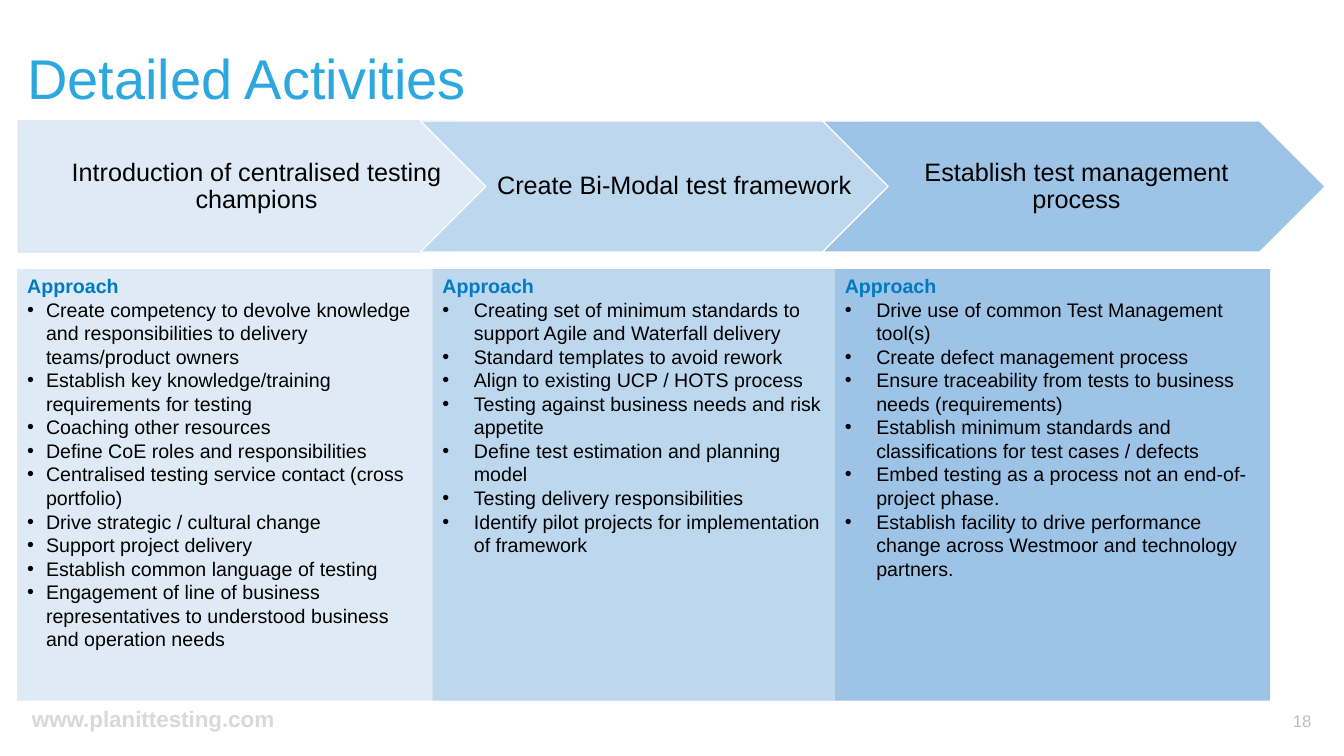
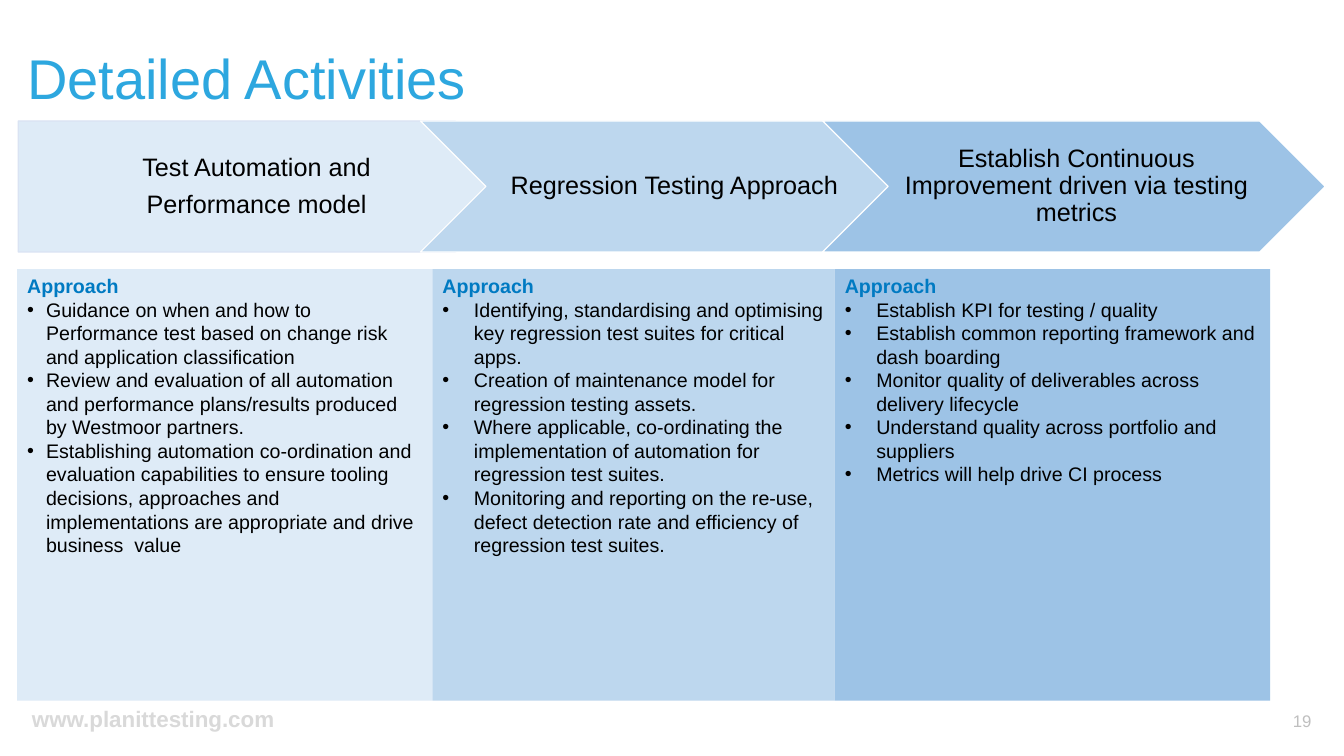
from dataclasses import dataclass

from lxml import etree
from pptx import Presentation
from pptx.dml.color import RGBColor
from pptx.enum.shapes import MSO_SHAPE
from pptx.enum.text import MSO_ANCHOR, MSO_AUTO_SIZE, PP_ALIGN
from pptx.oxml.ns import qn
from pptx.util import Pt

PENTAGON, CHEVRON = MSO_SHAPE.PENTAGON, MSO_SHAPE.CHEVRON
TOP, MIDDLE = MSO_ANCHOR.TOP, MSO_ANCHOR.MIDDLE
NO_FIT = MSO_AUTO_SIZE.NONE
LEFT, CENTER, RIGHT = PP_ALIGN.LEFT, PP_ALIGN.CENTER, PP_ALIGN.RIGHT


@dataclass(frozen=True)
class Theme:
    font: str = "Arial"
    title: tuple = (40, "2DA7DF", False)
    step: tuple = (18, "000000", False)
    heading: tuple = (14, "007AC2", True)
    body: tuple = (14, "000000", False)
    site: tuple = (16, "D9D9D9", True)
    number: tuple = (12, "BFBFBF", False)
    fills: tuple = ("DEEBF7", "BDD7EE", "9DC3E6")
    edges: tuple = ("DAE3F3", "FFFFFF", "FFFFFF")


COMPARISON = 4
BODY_IDS = (1, 2, 3)
SPARE_BODY_ID = 4
PANEL_LEFT, PANEL_TOP, PANEL_HEIGHT = 12.2, 192.2, 308.2
PANEL_WIDTHS = (296.6, 287.4, 311)
BULLET_INDENTS = (13.5, 22.5, 22.5)
STEP_LEFT, STEP_TOP, STEP_PITCH = 13, 86.4, 287.3
STEP_WIDTH, STEP_HEIGHT = 359, 93.6
FOOTER_TOP = 500.4


class Deck:
    def __init__(self, theme):
        self.theme = theme
        self.prs = Presentation()
        self.prs.slide_width, self.prs.slide_height = Pt(960), Pt(540)
        self.s = None

    def place(self, sp, left, top, width, height):
        box = dict(left=left, top=top, width=width, height=height)
        for name, value in box.items():
            setattr(sp, name, Pt(value))

    def frame(self, sp, anchor, **margins):
        tf = sp.text_frame
        values = dict(word_wrap=True, auto_size=NO_FIT, vertical_anchor=anchor)
        values.update({f"margin_{k}": Pt(v) for k, v in margins.items()})
        for name, value in values.items():
            setattr(tf, name, value)
        return tf

    def fill_text(self, p, text, style, **layout):
        values = dict(alignment=LEFT, line_spacing=1.0,
                      space_before=Pt(0), space_after=Pt(0))
        values.update(layout)
        for name, value in values.items():
            setattr(p, name, value)
        r = p.add_run()
        r.text = text
        size, color, bold = style
        font = dict(name=self.theme.font, size=Pt(size), bold=bold)
        for name, value in font.items():
            setattr(r.font, name, value)
        r.font.color.rgb = RGBColor.from_string(color)

    def bullet(self, p, indent):
        pPr = p._p.get_or_add_pPr()
        pPr.set("marL", str(Pt(indent)))
        pPr.set("indent", str(-Pt(indent)))
        if indent:
            etree.SubElement(pPr, qn("a:buFont")).set("typeface", self.theme.font)
            etree.SubElement(pPr, qn("a:buChar")).set("char", "•")
        else:
            etree.SubElement(pPr, qn("a:buNone"))

    def paragraphs(self, tf, count):
        return [tf.paragraphs[0]] + [tf.add_paragraph() for _ in range(count - 1)]

    def label(self, text, style, box, anchor, align):
        sp = self.s.shapes.add_textbox(*map(Pt, box))
        tf = self.frame(sp, anchor)
        self.fill_text(tf.paragraphs[0], text, style, alignment=align)

    def slide(self, title, number):
        self.s = self.prs.slides.add_slide(self.prs.slide_layouts[COMPARISON])
        spare = self.s.placeholders[SPARE_BODY_ID].element
        spare.getparent().remove(spare)
        sp = self.s.shapes.title
        self.place(sp, 12.2, 29.5, 828, 57)
        tf = self.frame(sp, MIDDLE)
        self.fill_text(tf.paragraphs[0], title, self.theme.title, line_spacing=0.9)
        self.label("www.planittesting.com", self.theme.site,
                   (15.8, FOOTER_TOP, 451.4, 26.6), TOP, LEFT)
        self.label(str(number), self.theme.number,
                   (907.2, FOOTER_TOP, 36.7, 28.8), MIDDLE, RIGHT)

    def step(self, i, lines):
        sp = self.s.shapes.add_shape(
            CHEVRON if i else PENTAGON, Pt(STEP_LEFT + i * STEP_PITCH),
            Pt(STEP_TOP), Pt(STEP_WIDTH), Pt(STEP_HEIGHT))
        sp.shadow.inherit = False
        sp.fill.solid()
        sp.fill.fore_color.rgb = RGBColor.from_string(self.theme.fills[i])
        sp.line.color.rgb = RGBColor.from_string(self.theme.edges[i])
        sp.line.width = Pt(0.85)
        tf = self.frame(sp, MIDDLE, left=5.8 if i else 7.2, right=2.2)
        for n, (p, text) in enumerate(zip(self.paragraphs(tf, len(lines)), lines)):
            self.fill_text(p, text, self.theme.step, alignment=CENTER,
                           line_spacing=0.9, space_before=Pt(7 if n else 0))

    def panel(self, i, items):
        sp = self.s.placeholders[BODY_IDS[i]]
        self.place(sp, PANEL_LEFT + sum(PANEL_WIDTHS[:i]), PANEL_TOP,
                   PANEL_WIDTHS[i], PANEL_HEIGHT)
        sp.fill.solid()
        sp.fill.fore_color.rgb = RGBColor.from_string(self.theme.fills[i])
        tf = self.frame(sp, TOP)
        heading, *bullets = self.paragraphs(tf, len(items) + 1)
        self.fill_text(heading, "Approach", self.theme.heading)
        self.bullet(heading, 0)
        for p, text in zip(bullets, items):
            self.fill_text(p, text, self.theme.body)
            self.bullet(p, BULLET_INDENTS[i])


SLIDES = {
    18: [
        (["Introduction of centralised testing champions"], [
            "Create competency to devolve knowledge and responsibilities to delivery teams/product owners",
            "Establish key knowledge/training requirements for testing",
            "Coaching other resources",
            "Define CoE roles and responsibilities",
            "Centralised testing service contact (cross portfolio)",
            "Drive strategic / cultural change",
            "Support project delivery",
            "Establish common language of testing",
            "Engagement of line of business representatives to understood business and operation needs",
        ]),
        (["Create Bi-Modal test framework"], [
            "Creating set of minimum standards to support Agile and Waterfall delivery",
            "Standard templates to avoid rework",
            "Align to existing UCP / HOTS process",
            "Testing against business needs and risk appetite",
            "Define test estimation and planning model",
            "Testing delivery responsibilities",
            "Identify pilot projects for implementation of framework",
        ]),
        (["Establish test management process"], [
            "Drive use of common Test Management tool(s)",
            "Create defect management process",
            "Ensure traceability from tests to business needs (requirements)",
            "Establish minimum standards and classifications for test cases / defects",
            "Embed testing as a process not an end-of-project phase.",
            "Establish facility to drive performance change across Westmoor and technology partners.",
        ]),
    ],
    19: [
        (["Test Automation and", "Performance model"], [
            "Guidance on when and how to Performance test based on change risk and application classification",
            "Review and evaluation of all automation and performance plans/results produced by Westmoor partners.",
            "Establishing automation co-ordination and evaluation capabilities to ensure tooling decisions, "
            "approaches and implementations are appropriate and drive business  value",
        ]),
        (["Regression Testing Approach"], [
            "Identifying, standardising and optimising key regression test suites for critical apps.",
            "Creation of maintenance model for regression testing assets.",
            "Where applicable, co-ordinating the implementation of automation for regression test suites.",
            "Monitoring and reporting on the re-use, defect detection rate and efficiency of regression test suites.",
        ]),
        (["Establish Continuous Improvement driven via testing metrics"], [
            "Establish KPI for testing / quality",
            "Establish common reporting framework and dash boarding",
            "Monitor quality of deliverables across delivery lifecycle",
            "Understand quality across portfolio and suppliers",
            "Metrics will help drive CI process",
        ]),
    ],
}


def main():
    deck = Deck(Theme())
    for number, columns in SLIDES.items():
        deck.slide("Detailed Activities", number)
        for i, (lines, items) in enumerate(columns):
            deck.step(i, lines)
            deck.panel(i, items)
    deck.prs.save("out.pptx")


if __name__ == "__main__":
    main()
